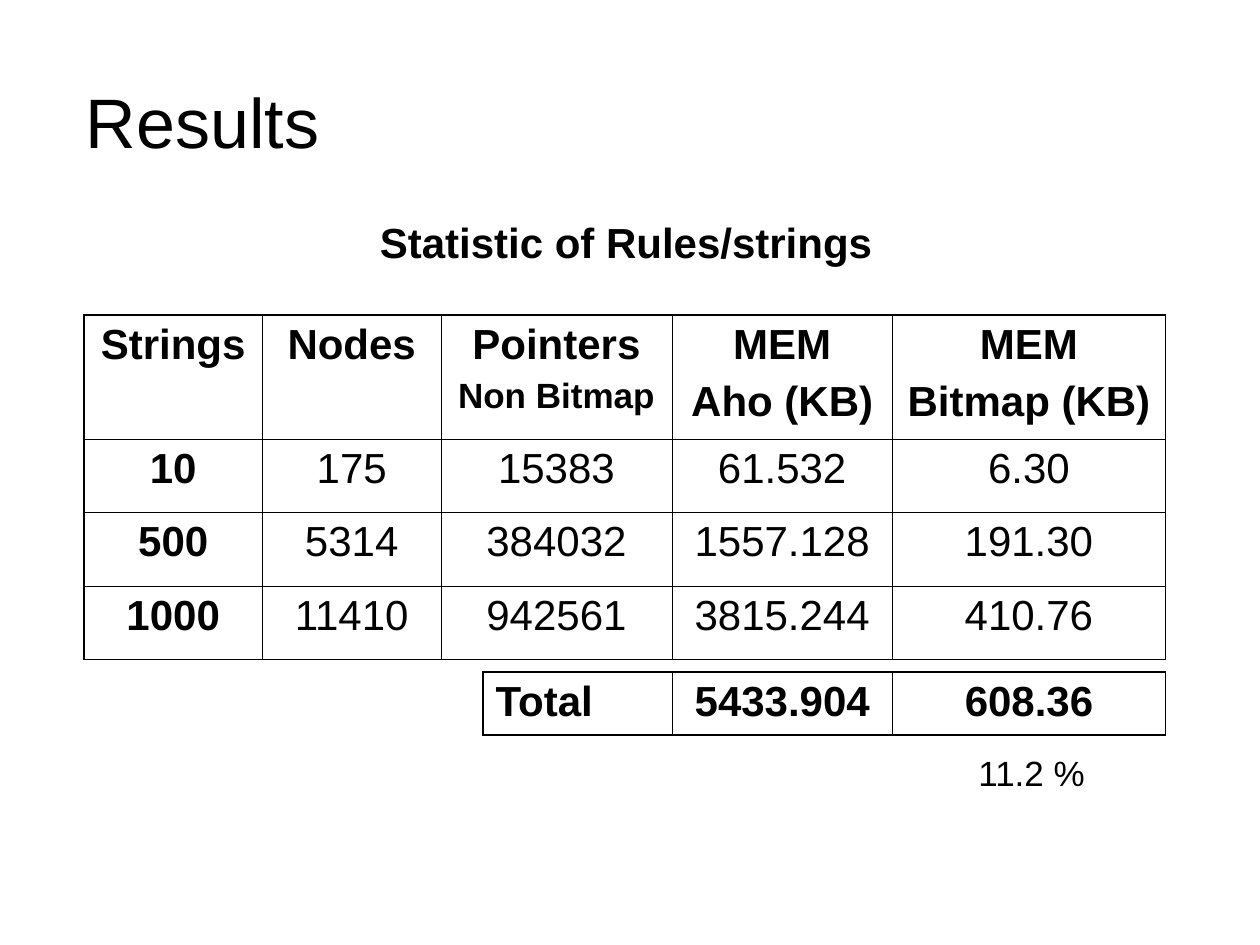
from lxml import etree
from pptx import Presentation
from pptx.dml.color import RGBColor
from pptx.enum.text import MSO_ANCHOR, PP_ALIGN
from pptx.oxml.ns import qn
from pptx.util import Pt

LEFT, CENTER = PP_ALIGN.LEFT, PP_ALIGN.CENTER
TOP, MIDDLE = MSO_ANCHOR.TOP, MSO_ANCHOR.MIDDLE
BLACK = RGBColor(0, 0, 0)
FONT = "Arial"
BODY_SIZE, SMALL_SIZE, TITLE_SIZE = 24, 20, 40
OUTER_LINE, INNER_LINE = 1.08, 0.45

TEXT_BOXES = [
    ("Results", (42, 24, 600, 90), TITLE_SIZE, False, MIDDLE),
    ("Statistic of Rules/strings", (210, 120, 330, 36), BODY_SIZE, True, TOP),
    ("11.2 %", (552, 426, 96, 32), SMALL_SIZE, False, TOP),
]

HEADER = [
    [("Strings", BODY_SIZE)],
    [("Nodes", BODY_SIZE)],
    [("Pointers", BODY_SIZE), ("Non Bitmap", SMALL_SIZE)],
    [("MEM", BODY_SIZE), ("Aho (KB)", BODY_SIZE)],
    [("MEM", BODY_SIZE), ("Bitmap (KB)", BODY_SIZE)],
]
RESULTS = [
    ["10", "175", "15383", "61.532", "6.30"],
    ["500", "5314", "384032", "1557.128", "191.30"],
    ["1000", "11410", "942561", "3815.244", "410.76"],
]
TOTALS = ["Total", "5433.904", "608.36"]

TABLE_RIGHT = 666
RESULT_COLUMNS = [102, 102, 132, 126, 156]
TOTAL_COLUMNS = [108] + RESULT_COLUMNS[-2:]


def add_text(paragraph, text, size, bold, alignment):
    paragraph.alignment = alignment
    run = paragraph.add_run()
    run.text = text
    run.font.name = FONT
    run.font.size = Pt(size)
    run.font.bold = bold
    run.font.color.rgb = BLACK


def add_text_box(slide, text, box, size, bold, anchor):
    frame = slide.shapes.add_textbox(*map(Pt, box)).text_frame
    frame.word_wrap = True
    frame.vertical_anchor = anchor
    add_text(frame.paragraphs[0], text, size, bold, LEFT)


def set_borders(cell, outer_edges):
    properties = cell._tc.get_or_add_tcPr()
    for index, (tag, is_outer) in enumerate(outer_edges.items()):
        width = OUTER_LINE if is_outer else INNER_LINE
        line = etree.Element(qn(f"a:{tag}"), w=str(Pt(width)))
        fill = etree.SubElement(line, qn("a:solidFill"))
        etree.SubElement(fill, qn("a:srgbClr"), val=str(BLACK))
        properties.insert(index, line)


def add_table(slide, top, columns, heights, rows, is_bold, alignment_of):
    width = sum(columns)
    box = map(Pt, (TABLE_RIGHT - width, top, width, sum(heights)))
    table = slide.shapes.add_table(len(rows), len(columns), *box).table
    table.first_row = table.horz_banding = False
    for column, column_width in zip(table.columns, columns):
        column.width = Pt(column_width)
    for row, height in zip(table.rows, heights):
        row.height = Pt(height)
    for r, values in enumerate(rows):
        for c, lines in enumerate(values):
            cell = table.cell(r, c)
            cell.fill.background()
            for i, (text, size) in enumerate(lines):
                frame = cell.text_frame
                paragraph = frame.add_paragraph() if i else frame.paragraphs[0]
                if i:
                    paragraph.space_before = Pt(size / 4)
                add_text(paragraph, text, size, is_bold(r, c), alignment_of(c))
            set_borders(cell, {
                "lnL": c == 0,
                "lnR": c == len(columns) - 1,
                "lnT": r == 0,
                "lnB": r == len(rows) - 1,
            })


def body_row(values):
    return [[(value, BODY_SIZE)] for value in values]


def main():
    presentation = Presentation()
    presentation.slide_width, presentation.slide_height = Pt(720), Pt(540)
    slide = presentation.slides.add_slide(presentation.slide_layouts[6])
    for text_box in TEXT_BOXES:
        add_text_box(slide, *text_box)
    add_table(slide, 180, RESULT_COLUMNS, [71] + [42] * len(RESULTS),
              [HEADER] + [body_row(values) for values in RESULTS],
              lambda r, c: r == 0 or c == 0, lambda c: CENTER)
    add_table(slide, 384, TOTAL_COLUMNS, [36], [body_row(TOTALS)],
              lambda r, c: True, lambda c: CENTER if c else LEFT)
    presentation.save("out.pptx")


if __name__ == "__main__":
    main()
